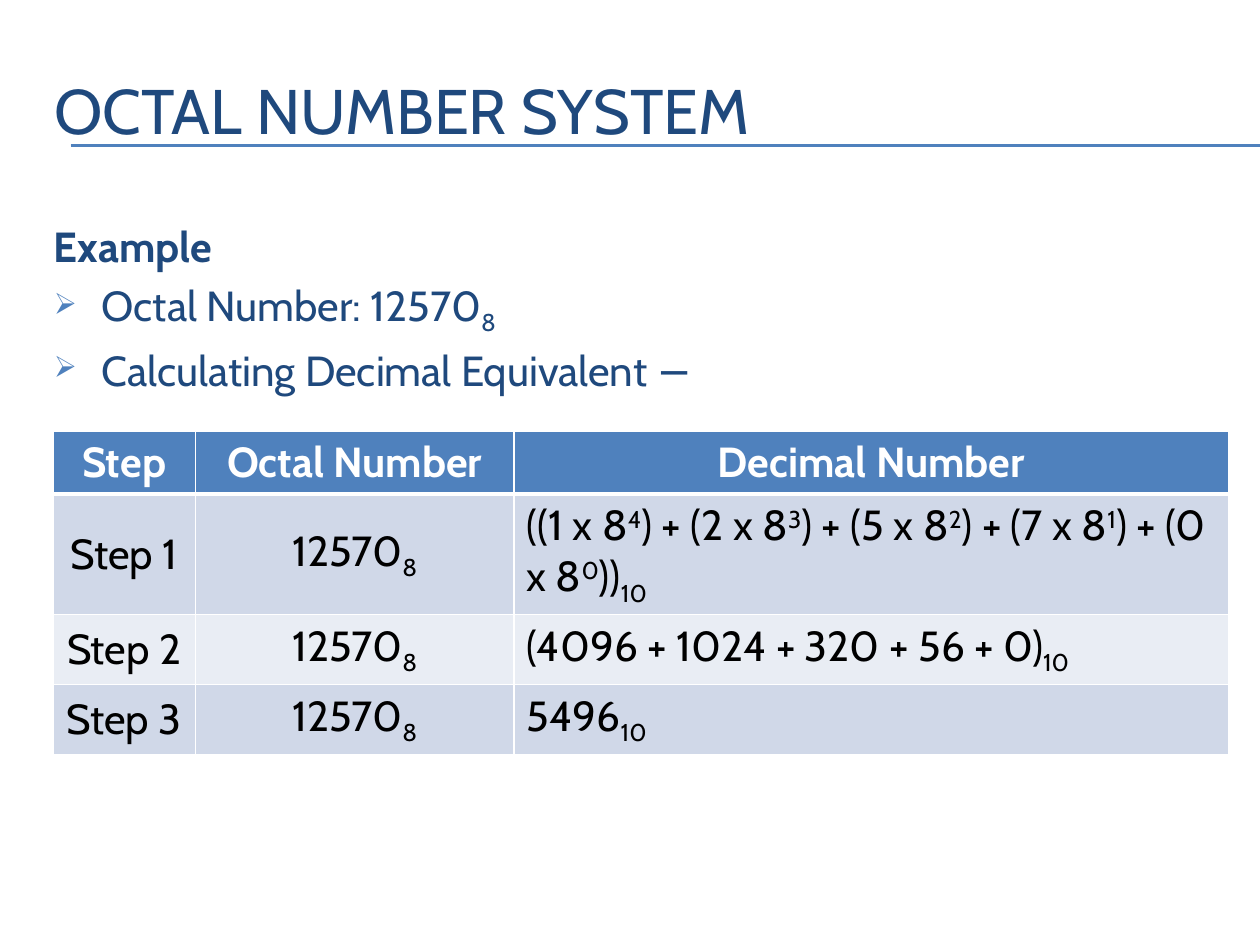
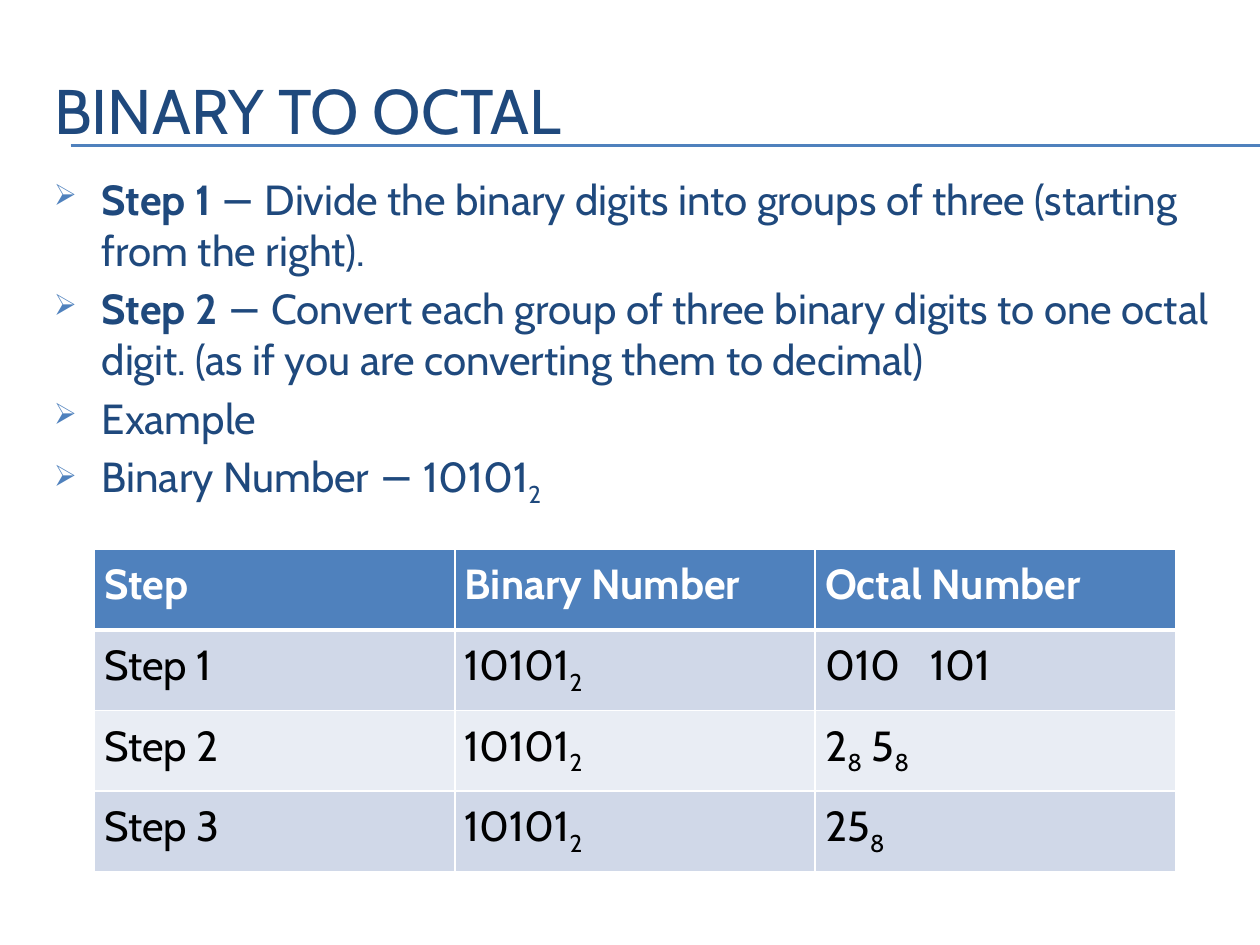
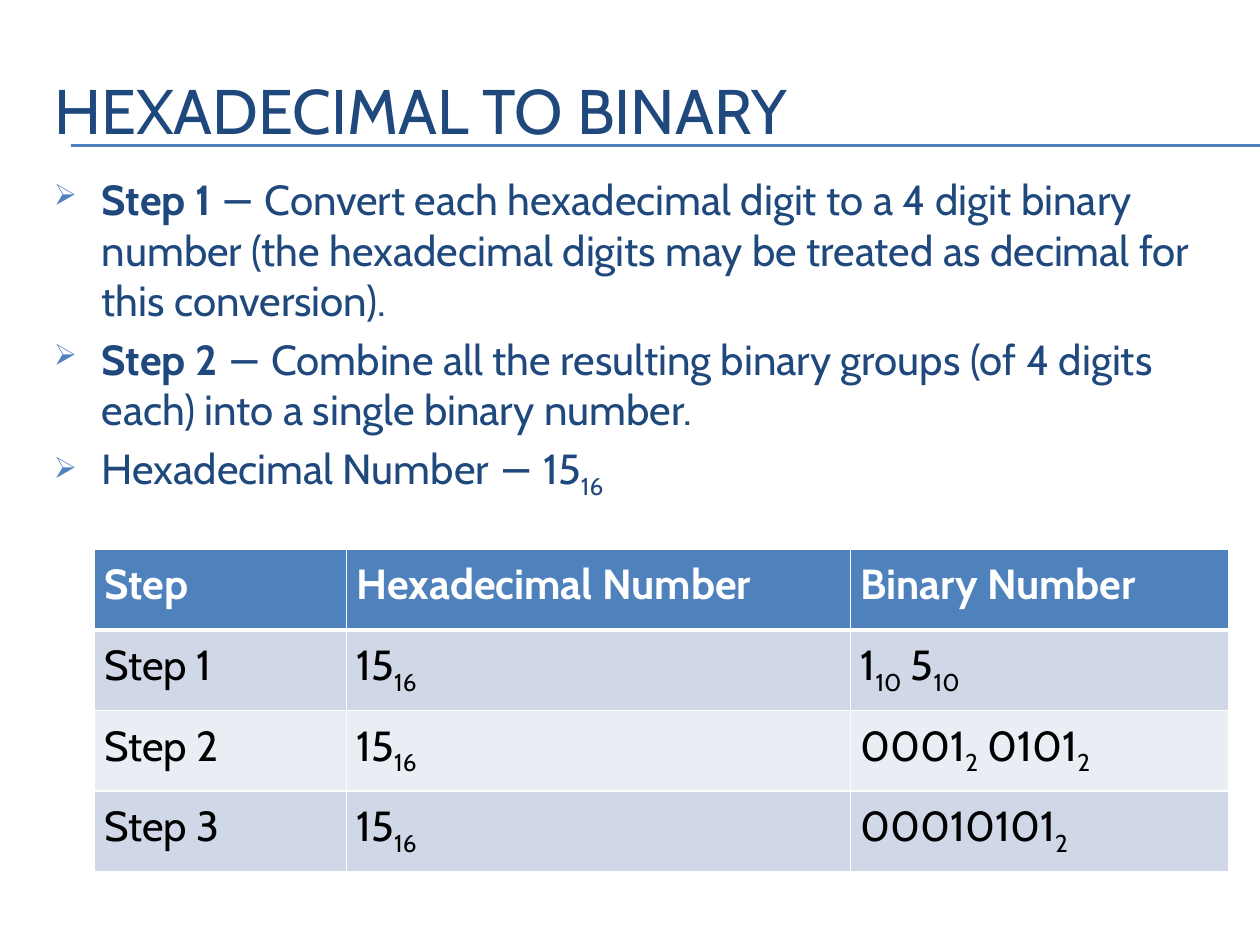
from dataclasses import dataclass

from lxml import etree
from pptx import Presentation
from pptx.dml.color import RGBColor
from pptx.enum.shapes import MSO_CONNECTOR
from pptx.enum.text import MSO_ANCHOR, MSO_AUTO_SIZE, PP_ALIGN
from pptx.oxml.ns import qn
from pptx.util import Inches, Pt

STRAIGHT = MSO_CONNECTOR.STRAIGHT
MIDDLE, TOP = MSO_ANCHOR.MIDDLE, MSO_ANCHOR.TOP
LEFT, CENTER = PP_ALIGN.LEFT, PP_ALIGN.CENTER
NO_FIT = MSO_AUTO_SIZE.NONE
TITLE_ONLY = 5


@dataclass(frozen=True)
class Theme:
    font: str = "Cabin"
    navy: str = "1F497D"
    blue: str = "4F81BD"
    white: str = "FFFFFF"
    black: str = "000000"
    bands: tuple = ("D0D8E8", "E9EDF4")
    title_size: int = 36
    text_size: int = 24
    bullet: str = "➢"
    bullet_scale: int = 70


THEME = Theme()


def sub(text):
    return text, {"baseline": "-25000"}


def sup(text):
    return text, {"baseline": "30000"}


def bold(text):
    return text, {"b": "1"}


def wide(text):
    """A span whose characters are set 12 points further apart."""
    return text, {"spc": "1200"}


def add_xml(parent, tag, **attributes):
    return etree.SubElement(parent, qn(tag), attributes)


def add_color(parent, color):
    add_xml(add_xml(parent, "a:solidFill"), "a:srgbClr", val=color)


def write_spans(para, spans, size, color, is_bold=False):
    """Fill a paragraph from a string, or a list of strings and (text, attributes) pairs."""
    for span in [spans] if isinstance(spans, str) else spans:
        text, attributes = (span, {}) if isinstance(span, str) else span
        run = para.add_run()
        run.text = text
        formats = {"name": THEME.font, "size": Pt(size), "bold": is_bold}
        for name, value in formats.items():
            setattr(run.font, name, value)
        run.font.color.rgb = RGBColor.from_string(color)
        for name, value in attributes.items():
            run.font._element.set(name, value)


def add_title_page(deck, title):
    page = deck.slides.add_slide(deck.slide_layouts[TITLE_ONLY])
    for y in (1.15, 1.16):
        rule = page.shapes.add_connector(
            STRAIGHT, Inches(0.56), Inches(y), deck.slide_width, Inches(y))
        rule.line.color.rgb = RGBColor.from_string(THEME.blue)
        rule.line.width = Pt(0.75)
        add_xml(rule._element.spPr, "a:effectLst")

    box = page.shapes.title
    place = {"left": 0.33, "top": 0.33, "width": 9.5, "height": 1.08}
    for name, value in place.items():
        setattr(box, name, Inches(value))
    box.text_frame.auto_size = NO_FIT
    box.text_frame.vertical_anchor = MIDDLE
    para = box.text_frame.paragraphs[0]
    para.alignment = LEFT
    write_spans(para, title, THEME.title_size, THEME.navy)
    return page


def add_bullet(para):
    props = para._p.get_or_add_pPr()
    add_xml(add_xml(props, "a:buClr"), "a:srgbClr", val=THEME.blue)
    add_xml(props, "a:buSzPct", val=str(THEME.bullet_scale * 1000))
    add_xml(props, "a:buChar", char=THEME.bullet)


def add_body(page, top, height, points, heading=None):
    box = page.shapes.add_textbox(Inches(0.33), Inches(top), Inches(9.5), Inches(height))
    frame = box.text_frame
    frame.word_wrap = True
    lines = ([[bold(heading)]] if heading else []) + points
    for index, spans in enumerate(lines):
        para = frame.add_paragraph() if index else frame.paragraphs[0]
        para.space_before = Pt(THEME.text_size * 0.2)
        props = para._p.get_or_add_pPr()
        props.set("marL", str(Inches(0.38)))
        props.set("indent", str(-Inches(0.38)))
        if index or not heading:
            add_bullet(para)
        write_spans(para, spans, THEME.text_size, THEME.navy)


def set_borders(cell, widths):
    props = cell._tc.get_or_add_tcPr()
    for side, width in widths.items():
        add_color(add_xml(props, f"a:ln{side}", w=str(Pt(width))), THEME.white)


def add_steps_table(page, left, top, columns, row_height, rows,
                    margin=None, anchor=TOP, aligns=(LEFT, LEFT, LEFT)):
    """Add a table whose first row is the header; margin applies to all cell sides."""
    table = page.shapes.add_table(
        len(rows), len(columns), Inches(left), Inches(top),
        Inches(sum(columns)), Inches(row_height * len(rows))).table
    table.horz_banding = False
    for column, width in zip(table.columns, columns):
        column.width = Inches(width)
    for y, row in enumerate(rows):
        table.rows[y].height = Inches(row_height)
        is_header = y == 0
        fill = THEME.blue if is_header else THEME.bands[(y - 1) % 2]
        color = THEME.white if is_header else THEME.black
        for x, spans in enumerate(row):
            cell = table.cell(y, x)
            cell.vertical_anchor = anchor
            if margin is not None:
                for side in ("left", "top", "right", "bottom"):
                    setattr(cell, f"margin_{side}", Inches(margin))
            set_borders(cell, {"L": 1, "R": 1, "T": 3 if y == 1 else 1,
                               "B": 3 if is_header else 1})
            cell.fill.solid()
            cell.fill.fore_color.rgb = RGBColor.from_string(fill)
            para = cell.text_frame.paragraphs[0]
            para.alignment = CENTER if is_header and anchor == MIDDLE else aligns[x]
            write_spans(para, spans, THEME.text_size, color, is_header)


def step_rows(headings, number, results):
    """Header row, then one numbered step with the same number for each result."""
    steps = [(f"Step {i}", number, result) for i, result in enumerate(results, 1)]
    return [headings] + steps


def octal_expansion(digits):
    spans = []
    for index, digit in enumerate(digits):
        lead = ") + (" if index else "(("
        spans += [f"{lead}{digit} x 8", sup(str(len(digits) - 1 - index))]
    return spans + ["))", sub("10")]


def build_octal_system(deck):
    page = add_title_page(deck, "OCTAL NUMBER SYSTEM")
    number = ["12570", sub("8")]
    add_body(page, 1.7, 5.47, [
        ["Octal Number: 12570", sub("8")],
        "Calculating Decimal Equivalent −",
    ], heading="Example")
    rows = step_rows(("Step", "Octal Number", "Decimal Number"), number, [
        octal_expansion("12570"),
        ["(4096 + 1024 + 320 + 56 + 0)", sub("10")],
        ["5496", sub("10")],
    ])
    add_steps_table(page, 0.42, 3.42, (1.13, 2.53, 5.67), 0.41, rows,
                    anchor=MIDDLE, aligns=(CENTER, CENTER, LEFT))


def build_conversion(deck, title, points, columns, rows):
    page = add_title_page(deck, title)
    add_body(page, 1.33, 2.83, points)
    add_steps_table(page, 0.75, 4.36, columns, 0.64, rows, margin=0.08)


def main():
    deck = Presentation()
    deck.slide_width, deck.slide_height = Inches(10), Inches(7.5)

    build_octal_system(deck)
    build_conversion(
        deck, "BINARY TO OCTAL",
        [
            [bold("Step 1"), " − Divide the binary digits into groups of three "
                             "(starting from the right)."],
            [bold("Step 2"), " − Convert each group of three binary digits to one "
                             "octal digit. (as if you are converting them to decimal)"],
            "Example",
            ["Binary Number − 10101", sub("2")],
        ],
        (2.86, 2.86, 2.86),
        step_rows(("Step", "Binary Number", "Octal Number"), ["10101", sub("2")], [
            ["010", wide(" "), "101"],
            ["2", sub("8"), " 5", sub("8")],
            ["25", sub("8")],
        ]))
    build_conversion(
        deck, "HEXADECIMAL TO BINARY",
        [
            [bold("Step 1"), " − Convert each hexadecimal digit to a 4 digit binary "
                             "number (the hexadecimal digits may be treated as decimal "
                             "for this conversion)."],
            [bold("Step 2"), " − Combine all the resulting binary groups (of 4 digits "
                             "each) into a single binary number."],
            ["Hexadecimal Number − 15", sub("16")],
        ],
        (2, 4, 3),
        step_rows(("Step", "Hexadecimal Number", "Binary Number"), ["15", sub("16")], [
            ["1", sub("10"), " 5", sub("10")],
            ["0001", sub("2"), " 0101", sub("2")],
            ["00010101", sub("2")],
        ]))
    deck.save("out.pptx")


if __name__ == "__main__":
    main()
